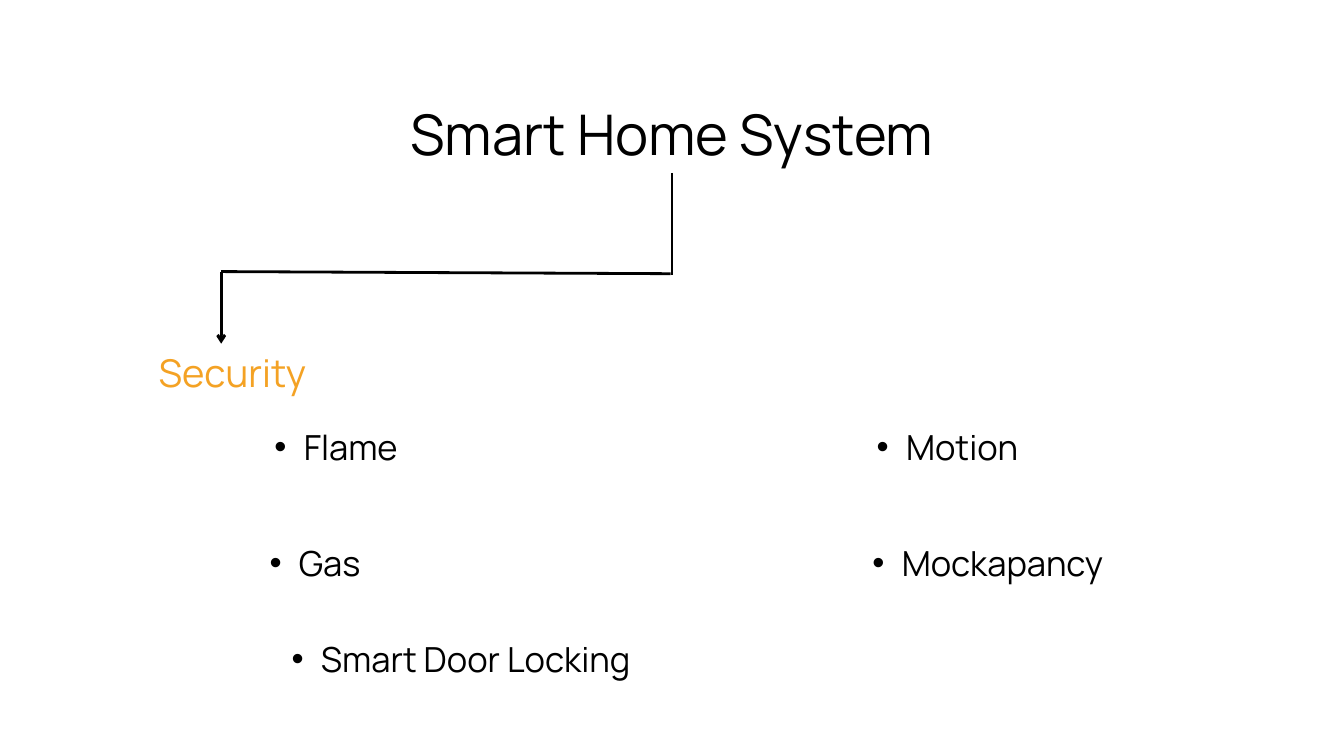
from lxml import etree
from pptx import Presentation
from pptx.dml.color import RGBColor
from pptx.enum.shapes import MSO_CONNECTOR
from pptx.enum.text import MSO_AUTO_SIZE, PP_ALIGN
from pptx.oxml.ns import qn
from pptx.util import Pt

PX = 9525
STRAIGHT = MSO_CONNECTOR.STRAIGHT
CENTER = PP_ALIGN.CENTER
GROW = MSO_AUTO_SIZE.SHAPE_TO_FIT_TEXT
FONT = "Manrope"
COLORS = {"ink": "000000", "accent": "F4A224", "paper": "FFFFFF"}

deck = Presentation()
deck.slide_width = 1920 * PX
deck.slide_height = 1080 * PX
slide = deck.slides.add_slide(deck.slide_layouts[6])
slide.background.fill.solid()
slide.background.fill.fore_color.rgb = RGBColor.from_string(COLORS["paper"])


def add_text(text, left, top, width, height, size, leading, color="ink", bullet=False):
    box = slide.shapes.add_textbox(left * PX, top * PX, width * PX, height * PX)
    frame = box.text_frame
    frame.margin_left = frame.margin_top = frame.margin_right = frame.margin_bottom = 0
    frame.word_wrap = True
    frame.auto_size = GROW
    paragraph = frame.paragraphs[0]
    paragraph.text = text
    paragraph.alignment = CENTER
    if bullet:
        paragraph.level = 1
        properties = paragraph._p.get_or_add_pPr()
        properties.set("marL", str(84 * PX))
        properties.set("indent", str(-42 * PX))
        etree.SubElement(properties, qn("a:buFont")).set("typeface", "Arial")
        etree.SubElement(properties, qn("a:buChar")).set("char", "•")
    paragraph.line_spacing = Pt(leading)
    font = paragraph.runs[0].font
    font.name = FONT
    font.size = Pt(size)
    font.color.rgb = RGBColor.from_string(COLORS[color])


# Branch from the title to its category
branch = [
    (960, 247, 960, 393),
    (316, 388, 958, 391),
    (316, 388, 316, 491),
]
for ends in branch:
    segment = slide.shapes.add_connector(STRAIGHT, *(end * PX for end in ends))
    segment.line.width = Pt(3)
    segment.line.color.rgb = RGBColor.from_string(COLORS["ink"])
    etree.SubElement(segment._element.spPr, qn("a:effectLst"))
# The last segment points at the category
etree.SubElement(segment.line._get_or_add_ln(), qn("a:tailEnd")).set("type", "arrow")

add_text("Smart Home System", 316, 156, 1288, 91, size=60, leading=61.2)
add_text("Security ", 215, 483, 245, 82, size=41, leading=61.5, color="accent")

features = [
    ("Flame ", 338, 594, 252),
    ("Gas", 338, 760, 182),
    ("Smart Door Locking", 348, 897, 579),
    ("Motion ", 1202, 594, 271),
    ("Mockapancy ", 1185, 760, 420),
]
for feature, left, top, width in features:
    add_text(feature, left, top, width, 75, size=37, leading=55.5, bullet=True)

deck.save("out.pptx")
